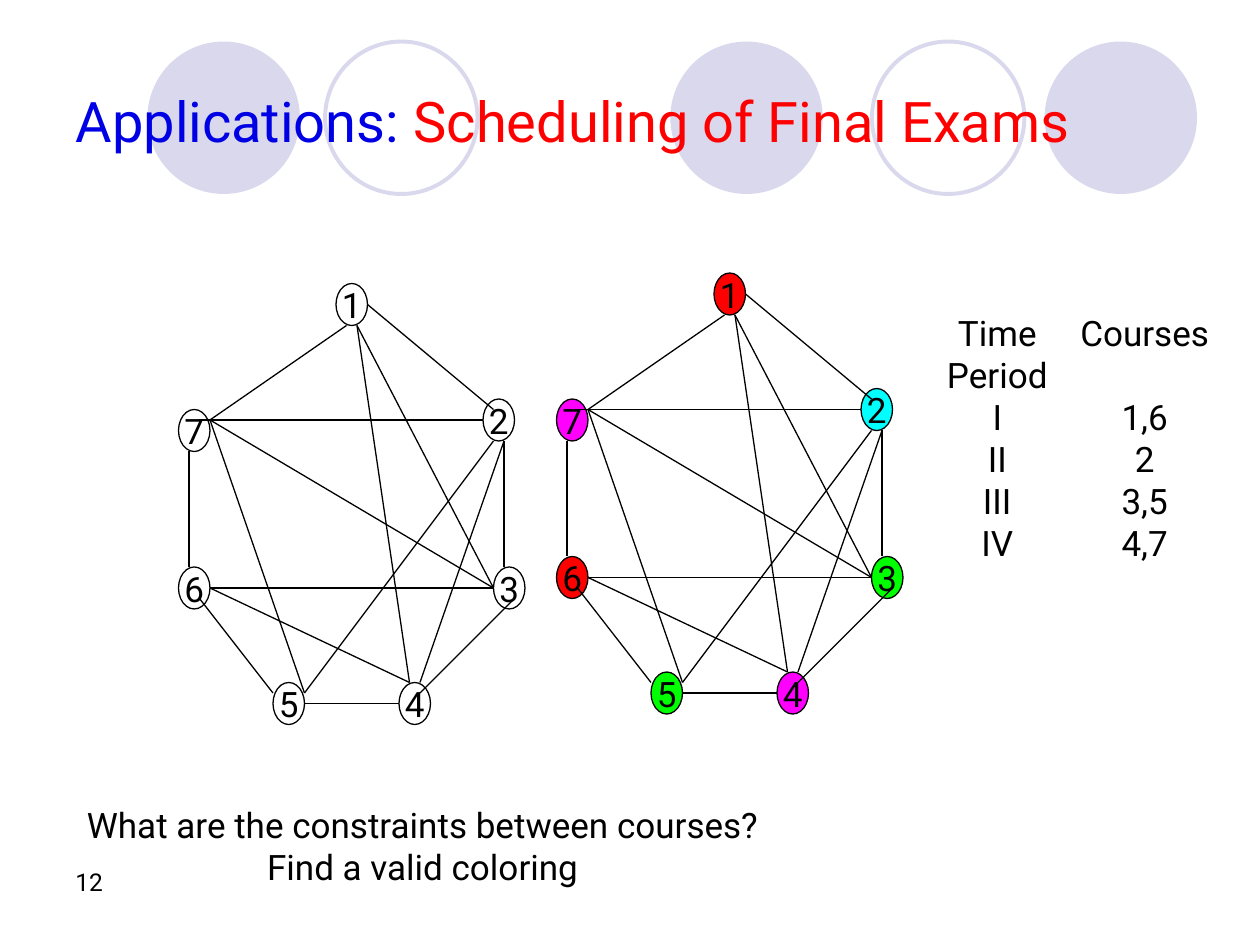
import pptx
import pptx.util
import pptx.dml.color
import pptx.enum.shapes
import pptx.enum.text
import pptx.oxml

FONT = "Roboto"
BLACK, LAVENDER = "000000", "D9D8EC"
UNIT = 1 / 12
CENTER = pptx.enum.text.PP_ALIGN.CENTER
LEFT = pptx.enum.text.PP_ALIGN.LEFT
OVAL = pptx.enum.shapes.MSO_SHAPE.OVAL

TITLE = [("Applications: ", "0000E5"), ("Scheduling of Final Exams", "FF0000")]
QUESTIONS = ["What are the constraints between courses?", "Find a valid coloring"]
PERIODS = ["Time", "Period", "I", "II", "III", "IV"]
COURSES = ["Courses", "1,6", "2", "3,5", "4,7"]
SLIDE_NUMBER = ["12"]

CIRCLE_SIZE, CIRCLE_TOP = 1.21, 0.33
CIRCLES = [(5.32, True), (8.29, True), (1.17, True), (6.92, False), (2.58, False)]

NODE_WIDTH, NODE_HEIGHT = 3, 4
NODES = {
    "1": (32, 27), "7": (17, 39), "2": (46, 38), "3": (47, 54),
    "6": (17, 54), "5": (26, 65), "4": (38, 65),
}
EDGES = [
    (35, 29, 47, 39), (34, 31, 47, 56), (34, 31, 39, 65), (47, 42, 29, 66),
    (46, 40, 19, 40), (18, 43, 18, 54), (20, 56, 47, 56), (29, 66, 20, 40),
    (39, 65, 20, 56), (20, 40, 33, 31), (48, 42, 48, 54), (48, 42, 40, 65),
    (38, 67, 29, 67), (26, 66, 19, 57), (40, 66, 49, 57), (47, 56, 20, 40),
]
COLORING = {
    "1": "FF0000", "6": "FF0000", "2": "00FFFF", "3": "00FF00",
    "5": "00FF00", "4": "FF00FF", "7": "FF00FF",
}
GRAPHS = [(0, 0, {}), (36, -1, COLORING)]


def color(value):
    return pptx.dml.color.RGBColor.from_string(value)


def inches(*values):
    return [pptx.util.Inches(value) for value in values]


def grid(*values):
    return inches(*(value * UNIT for value in values))


def add_run(paragraph, text, size, text_color=BLACK):
    run = paragraph.add_run()
    run.text = text
    run.font.name = FONT
    run.font.size = pptx.util.Pt(size)
    run.font.color.rgb = color(text_color)


def add_oval(shapes, box, fill, line, width):
    shape = shapes.add_shape(OVAL, *box)
    shape.shadow.inherit = False
    if fill:
        shape.fill.solid()
        shape.fill.fore_color.rgb = color(fill)
    else:
        shape.fill.background()
    if line:
        shape.line.color.rgb = color(line)
        shape.line.width = pptx.util.Pt(width)
    else:
        shape.line.fill.background()
    return shape


def add_node(shapes, label, box, fill):
    frame = add_oval(shapes, box, fill, BLACK, 0.75).text_frame
    frame.word_wrap = False
    frame.vertical_anchor = pptx.enum.text.MSO_ANCHOR.MIDDLE
    frame.paragraphs[0].alignment = CENTER
    add_run(frame.paragraphs[0], label, 20)


def add_edge(shapes, ends):
    connector = shapes.add_connector(pptx.enum.shapes.MSO_CONNECTOR.STRAIGHT, *ends)
    connector.line.color.rgb = color(BLACK)
    connector.line.width = pptx.util.Pt(0.75)
    connector._element.spPr.append(pptx.oxml.parse_xml(
        '<a:effectLst xmlns:a="http://schemas.openxmlformats.org/drawingml/2006/main"/>'))


def add_graph(shapes, shift_x, shift_y, fills):
    for label, (x, y) in NODES.items():
        box = grid(x + shift_x, y + shift_y, NODE_WIDTH, NODE_HEIGHT)
        add_node(shapes, label, box, fills.get(label))
    for x1, y1, x2, y2 in EDGES:
        add_edge(shapes, grid(x1 + shift_x, y1 + shift_y, x2 + shift_x, y2 + shift_y))


def add_text(shapes, box, lines, size=20, alignment=CENTER, wrap=False):
    frame = shapes.add_textbox(*inches(*box)).text_frame
    frame.word_wrap = wrap
    for index, line in enumerate(lines):
        paragraph = frame.add_paragraph() if index else frame.paragraphs[0]
        paragraph.alignment = alignment
        add_run(paragraph, line, size)
    return frame


def add_title(slide):
    title = slide.shapes.title
    title.left, title.top, title.width, title.height = inches(0.5, 0.33, 9, 1.25)
    title.text_frame.vertical_anchor = pptx.enum.text.MSO_ANCHOR.MIDDLE
    paragraph = title.text_frame.paragraphs[0]
    paragraph.alignment = LEFT
    for text, text_color in TITLE:
        add_run(paragraph, text, 32, text_color)
    title.element.getparent().append(title.element)


def main():
    presentation = pptx.Presentation()
    presentation.slide_width, presentation.slide_height = inches(10, 7.5)
    slide = presentation.slides.add_slide(presentation.slide_layouts[5])
    shapes = slide.shapes
    for left, filled in CIRCLES:
        box = inches(left, CIRCLE_TOP, CIRCLE_SIZE, CIRCLE_SIZE)
        add_oval(shapes, box, LAVENDER if filled else None, None if filled else LAVENDER, 2.25)
    add_text(shapes, (0.5, 6.83, 2.33, 0.5), SLIDE_NUMBER, 14, LEFT, True)
    add_title(slide)
    for shift_x, shift_y, fills in GRAPHS:
        add_graph(shapes, shift_x, shift_y, fills)
    add_text(shapes, (0.44, 6.33, 5.83, 0.77), QUESTIONS)
    add_text(shapes, (7.39, 2.42, 1.05, 2.1), PERIODS)
    courses = add_text(shapes, (8.46, 2.42, 1.25, 2.1), COURSES)
    courses.paragraphs[1].space_before = pptx.util.Pt(24)
    presentation.save("out.pptx")


if __name__ == "__main__":
    main()
